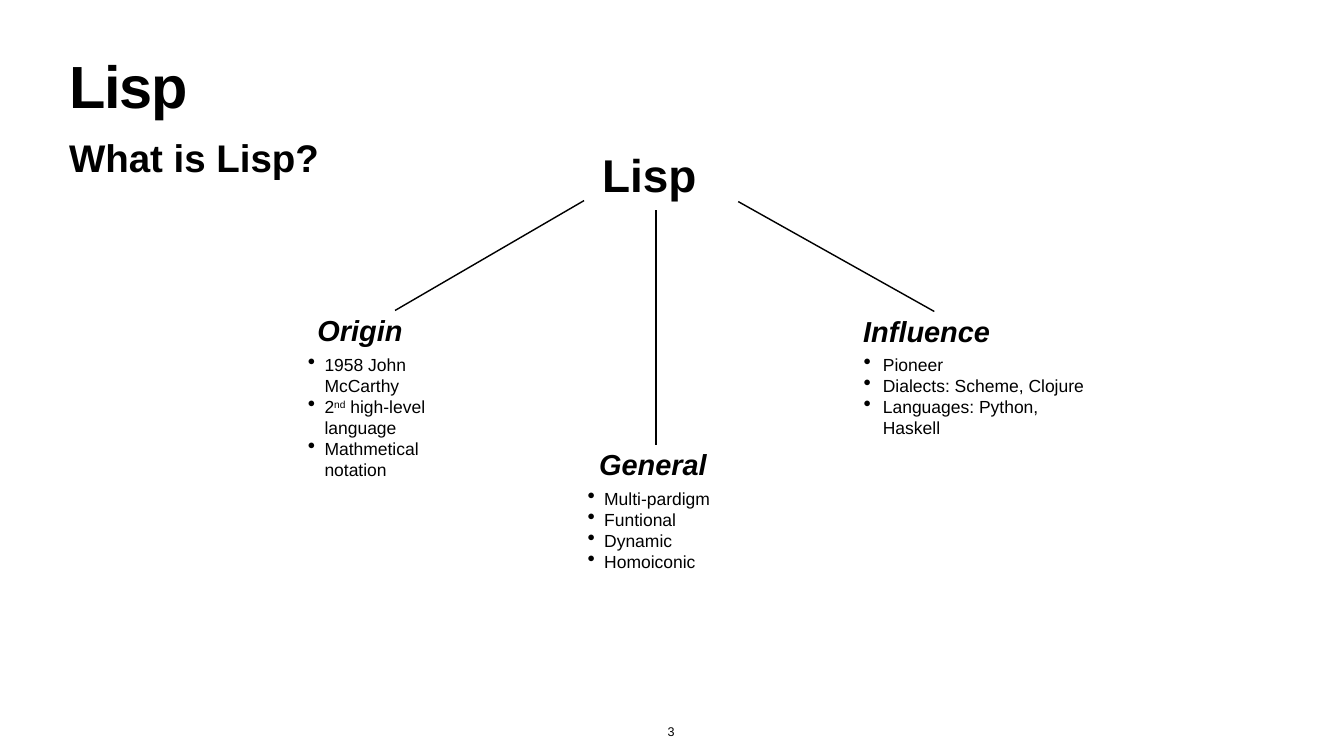
from lxml import etree
from pptx import Presentation
from pptx import util as u
from pptx.dml.color import RGBColor
from pptx.enum import shapes, text
from pptx.oxml.ns import qn

BLACK = RGBColor(0, 0, 0)
WHITE = RGBColor(255, 255, 255)

deck = Presentation()
deck.slide_width, deck.slide_height = u.Inches(26.67), u.Inches(15)
slide = deck.slides.add_slide(deck.slide_layouts[5])
slide.background.fill.solid()
slide.background.fill.fore_color.rgb = WHITE


def set_frame(box, place, inset, **settings):
    for side, length in zip(("left", "top", "width", "height"), place):
        setattr(box, side, u.Inches(length))
    frame = box.text_frame
    values = {"margin_" + side: u.Inches(inset) for side in ("left", "top", "right", "bottom")}
    values.update({"word_wrap": True, "auto_size": text.MSO_AUTO_SIZE.NONE,
                   "vertical_anchor": text.MSO_ANCHOR.TOP})
    values.update(settings)
    for key, value in values.items():
        setattr(frame, key, value)
    return frame


def write(paragraph, words, size, **style):
    run = paragraph.add_run()
    run.text = words
    for key, value in {"name": "Arial", "size": u.Pt(size), **style}.items():
        setattr(run.font, key, value)
    run.font.color.rgb = BLACK
    return run


title = set_frame(slide.shapes.title, (1.32, 1.18, 10.69, 1.57), 0.06).paragraphs[0]
title.alignment = text.PP_ALIGN.LEFT
title.line_spacing = 0.8
write(title, "Lisp", 85, bold=True)._r.get_or_add_rPr().set("spc", "-170")

headings = [
    ("What is Lisp?", (1.32, 2.6, 10.69, 1.02), 55, False, 0.05, 1),
    ("Lisp", (11.39, 2.98, 3.27, 1.19), 65.6, False, 0.56, 0.9),
    ("Origin", (6.25, 6.16, 3.19, 1.02), 41.3, True, 0.05, 1),
    ("General", (11.84, 8.82, 3.3, 1.02), 41.3, True, 0.05, 1),
    ("Influence", (17.08, 6.18, 2.92, 1.02), 41.3, True, 0.05, 1),
]
for words, place, size, italic, indent, spacing in headings:
    frame = set_frame(slide.shapes.add_textbox(0, 0, 0, 0), place, 0.05,
                      margin_left=u.Inches(indent))
    frame.paragraphs[0].line_spacing = spacing
    write(frame.paragraphs[0], words, size, bold=True, italic=italic)

branches = [(7.84, 6.16, 11.59, 3.98), (13.02, 8.82, 13.02, 4.16), (18.54, 6.18, 14.65, 4)]
for ends in branches:
    branch = slide.shapes.add_connector(shapes.MSO_CONNECTOR.STRAIGHT, *map(u.Inches, ends))
    branch.line.color.rgb = BLACK
    branch.line.width = u.Pt(2)
    etree.SubElement(branch._element.spPr, qn("a:effectLst"))

details = [
    ((6.05, 6.97, 2.83, 2.64), 0.33,
     [["1958 John McCarthy"], ["2", "nd", " high-level language"], ["Mathmetical notation"]]),
    ((11.6, 9.63, 2.83, 2.64), 0.33,
     [["Multi-pardigm"], ["Funtional"], ["Dynamic"], ["Homoiconic"]]),
    ((17.08, 6.97, 4.79, 2.22), 0.38,
     [["Pioneer"], ["Dialects: Scheme, Clojure"], ["Languages: Python, Haskell"]]),
]
for place, indent, points in details:
    frame = set_frame(slide.shapes.add_textbox(0, 0, 0, 0), place, 0.06,
                      auto_size=text.MSO_AUTO_SIZE.SHAPE_TO_FIT_TEXT)
    for number, point in enumerate(points):
        paragraph = frame.add_paragraph() if number else frame.paragraphs[0]
        layout = paragraph._p.get_or_add_pPr()
        layout.set("marL", str(u.Inches(indent)))
        layout.set("indent", str(-u.Inches(indent)))
        etree.SubElement(layout, qn("a:buSzPct"), val="123000")
        etree.SubElement(layout, qn("a:buChar"), char="•")
        for part in point:
            run = write(paragraph, part, 25)
            if part == "nd":
                run._r.get_or_add_rPr().set("baseline", "30000")

page = set_frame(slide.shapes.add_textbox(0, 0, 0, 0), (13.12, 14.31, 0.4, 0.41), 0.06,
                 word_wrap=False, vertical_anchor=text.MSO_ANCHOR.BOTTOM,
                 auto_size=text.MSO_AUTO_SIZE.SHAPE_TO_FIT_TEXT).paragraphs[0]
page.alignment = text.PP_ALIGN.CENTER
write(page, "3", 18)

deck.save("out.pptx")
